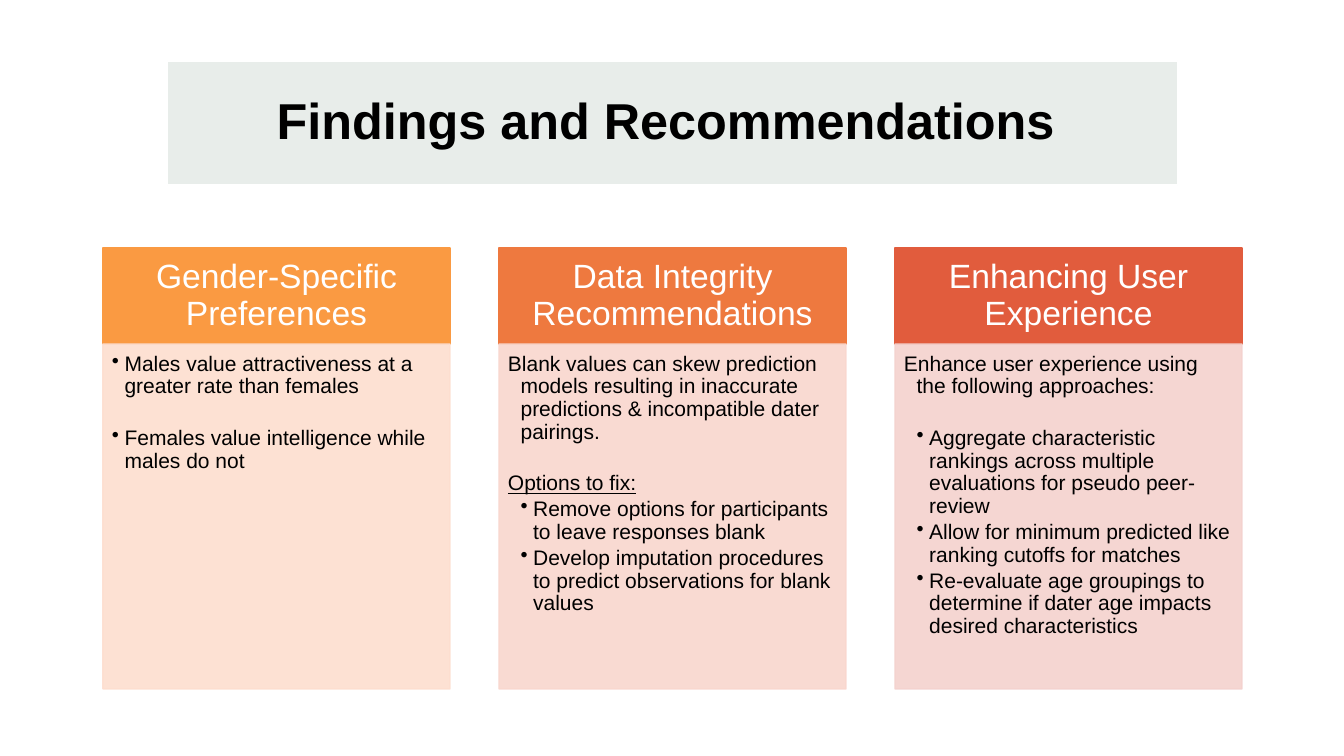
import dataclasses

import lxml.etree
import pptx
import pptx.dml.color
import pptx.enum.shapes
import pptx.enum.text
import pptx.oxml.ns
import pptx.util

ALIGN = pptx.enum.text.PP_ALIGN
ANCHOR = pptx.enum.text.MSO_ANCHOR
SHAPE = pptx.enum.shapes.MSO_SHAPE


@dataclasses.dataclass(frozen=True)
class Theme:
    font: str = "Arial"
    title_size: int = 36
    heading_size: int = 24
    body_size: int = 15
    dark: str = "000000"
    light: str = "FFFFFF"
    banner: str = "E8EDEA"
    headings: tuple = ("FA9A42", "EE793F", "E15C3D")
    bodies: tuple = ("FDDECF", "F9D7CE", "F4D2CE")
    body_opacity: int = 90
    line_spacing: float = 0.9


@dataclasses.dataclass(frozen=True)
class Item:
    text: str
    depth: int = 1
    bullet: bool = True
    underline: bool = False
    gap: float = 0


THEME = Theme()
GAP = 18.5
COLUMNS = (
    ("Gender-Specific Preferences", (
        Item("Males value attractiveness at a greater rate than females"),
        Item("Females value intelligence while males do not", gap=GAP),
    )),
    ("Data Integrity Recommendations", (
        Item("Blank values can skew prediction models resulting in inaccurate "
             "predictions & incompatible dater pairings.", bullet=False),
        Item("Options to fix:", bullet=False, underline=True, gap=GAP),
        Item("Remove options for participants to leave responses blank", depth=2),
        Item("Develop imputation procedures to predict observations for blank values", depth=2),
    )),
    ("Enhancing User Experience", (
        Item("Enhance user experience using the following approaches:", bullet=False),
        Item("Aggregate characteristic rankings across multiple evaluations "
             "for pseudo peer-review", depth=2, gap=GAP),
        Item("Allow for minimum predicted like ranking cutoffs for matches", depth=2),
        Item("Re-evaluate age groupings to determine if dater age impacts "
             "desired characteristics", depth=2),
    )),
)


def px(length):
    return pptx.util.Emu(round(length * 914400 / 100.8))


def rgb(color):
    return pptx.dml.color.RGBColor.from_string(color)


def write(paragraph, text, size, color, bold=False, underline=False,
          align=ALIGN.LEFT, before=0, after=0, depth=0, bullet=False):
    paragraph.alignment = align
    paragraph.line_spacing = THEME.line_spacing
    paragraph.space_before = pptx.util.Pt(before)
    paragraph.space_after = pptx.util.Pt(after)
    if depth:
        paragraph.level = depth
        properties = paragraph._p.get_or_add_pPr()
        properties.set("marL", str(px(12.6 * depth)))
        properties.set("indent", str(-px(12.6)))
        tag = "a:buChar" if bullet else "a:buNone"
        mark = lxml.etree.SubElement(properties, pptx.oxml.ns.qn(tag))
        if bullet:
            mark.set("char", "•")
    run = paragraph.add_run()
    run.text = text
    run.font.name = THEME.font
    run.font.size = pptx.util.Pt(size)
    run.font.bold = bold
    run.font.underline = underline
    run.font.color.rgb = rgb(color)


class SlideBuilder:
    def __init__(self, slide, theme):
        self.slide = slide
        self.theme = theme

    def panel(self, box, fill, line, insets, anchor, kind=SHAPE.RECTANGLE,
              line_width=1, opacity=100):
        shape = self.slide.shapes.add_shape(kind, *map(px, box))
        shape.shadow.inherit = False
        shape.fill.solid()
        shape.fill.fore_color.rgb = rgb(fill)
        shape.line.color.rgb = rgb(line)
        shape.line.width = pptx.util.Pt(line_width)
        if opacity < 100:
            for color in shape._element.spPr.iter(pptx.oxml.ns.qn("a:srgbClr")):
                alpha = lxml.etree.SubElement(color, pptx.oxml.ns.qn("a:alpha"))
                alpha.set("val", str(opacity * 1000))
        frame = shape.text_frame
        frame.word_wrap = True
        frame.vertical_anchor = anchor
        (frame.margin_left, frame.margin_top,
         frame.margin_right, frame.margin_bottom) = map(px, insets)
        return shape

    def title(self, text, box):
        theme = self.theme
        shape = self.panel(box, theme.banner, theme.light, (10, 5, 24, 5), ANCHOR.MIDDLE,
                           kind=SHAPE.ROUNDED_RECTANGLE, line_width=0.75)
        shape.adjustments[0] = 0
        write(shape.text_frame.paragraphs[0], text, theme.title_size, theme.dark,
              bold=True, align=ALIGN.CENTER)

    def heading(self, text, box, fill):
        shape = self.panel(box, fill, fill, (19, 11, 19, 11), ANCHOR.MIDDLE)
        write(shape.text_frame.paragraphs[0], text, self.theme.heading_size,
              self.theme.light, align=ALIGN.CENTER)

    def body(self, items, box, fill):
        shape = self.panel(box, fill, fill, (9, 9, 11, 13), ANCHOR.TOP,
                           opacity=self.theme.body_opacity)
        frame = shape.text_frame
        for index, item in enumerate(items):
            paragraph = frame.add_paragraph() if index else frame.paragraphs[0]
            write(paragraph, item.text, self.theme.body_size, self.theme.dark,
                  underline=item.underline, before=item.gap, after=2.25,
                  depth=item.depth, bullet=item.bullet)


def main():
    presentation = pptx.Presentation()
    presentation.slide_width = px(1344)
    presentation.slide_height = px(756)
    slide = presentation.slides.add_slide(presentation.slide_layouts[6])
    builder = SlideBuilder(slide, THEME)
    builder.title("Findings and Recommendations", (168, 61, 1010, 124))

    left, top, width, pitch = 103, 248, 347, 396
    heading_height, body_height = 96, 345
    for index, (heading, items) in enumerate(COLUMNS):
        x = left + index * pitch
        builder.heading(heading, (x, top, width, heading_height), THEME.headings[index])
        builder.body(items, (x, top + heading_height, width, body_height),
                     THEME.bodies[index])
    presentation.save("out.pptx")


if __name__ == "__main__":
    main()
